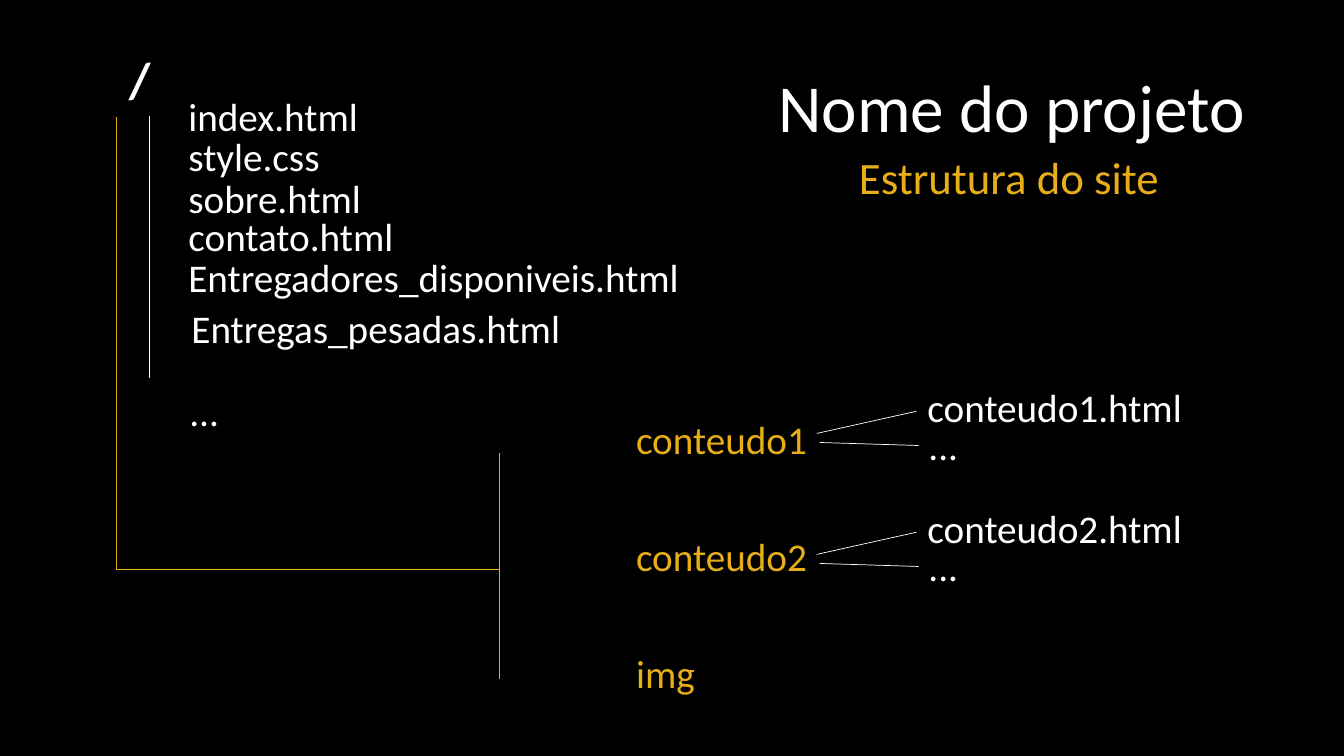
"""Builds the site structure slide: a folder tree with its pages."""
from dataclasses import dataclass

from lxml.etree import SubElement
from pptx import Presentation
from pptx.dml.color import RGBColor as Rgb
from pptx.enum.shapes import MSO_CONNECTOR as Connector
from pptx.enum.text import MSO_ANCHOR as Anchor, MSO_AUTO_SIZE as AutoSize, PP_ALIGN as Align
from pptx.oxml.ns import qn
from pptx.util import Inches, Pt


@dataclass(frozen=True)
class Theme:
    """Colours, font, type sizes and line width of the slide."""
    background: Rgb = Rgb(0, 0, 0)
    page: Rgb = Rgb(255, 255, 255)
    folder: Rgb = Rgb(0xE7, 0xAE, 0x18)
    font: str = "Calibri"
    title: int = 48
    root: int = 36
    subtitle: int = 32
    entry: int = 28
    line: float = 0.5


class SiteMap:
    """Draws the elements of a site map on one slide."""

    def __init__(self, slide, theme):
        """Keeps the slide and theme and paints the background."""
        self.slide, self.theme = slide, theme
        slide.background.fill.solid()
        slide.background.fill.fore_color.rgb = theme.background

    def set_text(self, shape, text, size, color, bold=False):
        """Fills a shape with one formatted line of text."""
        frame = shape.text_frame
        frame.text = text
        frame.word_wrap = True
        frame.auto_size = AutoSize.SHAPE_TO_FIT_TEXT
        frame.vertical_anchor = Anchor.TOP
        paragraph = frame.paragraphs[0]
        paragraph.alignment = Align.LEFT
        paragraph.line_spacing = 1.0
        paragraph.space_before = Pt(0)
        font = paragraph.runs[0].font
        font.name, font.size, font.bold = self.theme.font, Pt(size), bold
        font.color.rgb = color

    def title(self, text, left, top, width, height):
        """Places and formats the title placeholder."""
        title = self.slide.shapes.title
        title.left, title.top = Inches(left), Inches(top)
        title.width, title.height = Inches(width), Inches(height)
        self.set_text(title, text, self.theme.title, self.theme.page)

    def label(self, text, left, top, width, height, size, color, bold=False):
        """Adds a text box."""
        box = self.slide.shapes.add_textbox(
            Inches(left), Inches(top), Inches(width), Inches(height))
        self.set_text(box, text, size, color, bold)

    def page(self, text, left, top, width=4.78):
        """Adds the name of a page."""
        self.label(text, left, top, width, 0.57, self.theme.entry, self.theme.page)

    def folder(self, text, top, width=1.95):
        """Adds the name of a folder."""
        self.label(text, 6.21, top, width, 0.57, self.theme.entry, self.theme.folder)

    def line(self, start, end, color):
        """Adds a thin straight line without a shadow."""
        line = self.slide.shapes.add_connector(
            Connector.STRAIGHT, *(Inches(value) for value in (*start, *end)))
        line.line.color.rgb = color
        line.line.width = Pt(self.theme.line)
        SubElement(line._element.spPr, qn("a:effectLst"))

    def branch(self, name, folder_top, page_top):
        """Adds a folder with its pages and the lines to them."""
        self.folder(name, folder_top)
        self.page(f"{name}.html", 9.1, page_top)
        self.page("...", 9.11, page_top + 0.38)
        for start, end in (((9.09, 0.33), (8.1, 0.55)), ((9.11, 0.67), (8.13, 0.64))):
            self.line((start[0], page_top + start[1]),
                      (end[0], page_top + end[1]), self.theme.page)


def main():
    """Builds and saves the slide."""
    presentation = Presentation()
    presentation.slide_width, presentation.slide_height = Inches(13.33), Inches(7.5)
    slide = presentation.slides.add_slide(presentation.slide_layouts[5])
    theme = Theme()
    site = SiteMap(slide, theme)

    site.title("Nome do projeto", 7.62, 0.6, 5.04, 0.91)
    site.label("Estrutura do site", 8.42, 1.44, 3.89, 0.64, theme.subtitle, theme.folder)
    site.label("/", 1.18, 0.43, 0.79, 0.71, theme.root, theme.page, bold=True)

    root_pages = (
        ("index.html", 1.77, 0.87),
        ("style.css", 1.77, 1.26),
        ("sobre.html", 1.77, 1.68),
        ("contato.html", 1.77, 2.06),
        ("Entregadores_disponiveis.html", 1.77, 2.46, 5.15),
        ("Entregas_pesadas.html", 1.8, 2.97),
        ("...", 1.78, 3.79),
    )
    for root_page in root_pages:
        site.page(*root_page)

    site.line((1.48, 1.15), (1.48, 3.75), theme.page)
    trunk_corner, folders_joint = (1.15, 5.65), (4.95, 5.65)
    site.line((1.15, 1.16), trunk_corner, theme.folder)
    site.line(trunk_corner, folders_joint, theme.folder)
    site.line((4.95, 4.49), (4.95, 6.74), theme.folder)

    site.branch("conteudo1", 4.07, 3.75)
    site.branch("conteudo2", 5.23, 4.95)
    site.folder("img", 6.39, 1.41)

    presentation.save("out.pptx")


if __name__ == "__main__":
    main()
